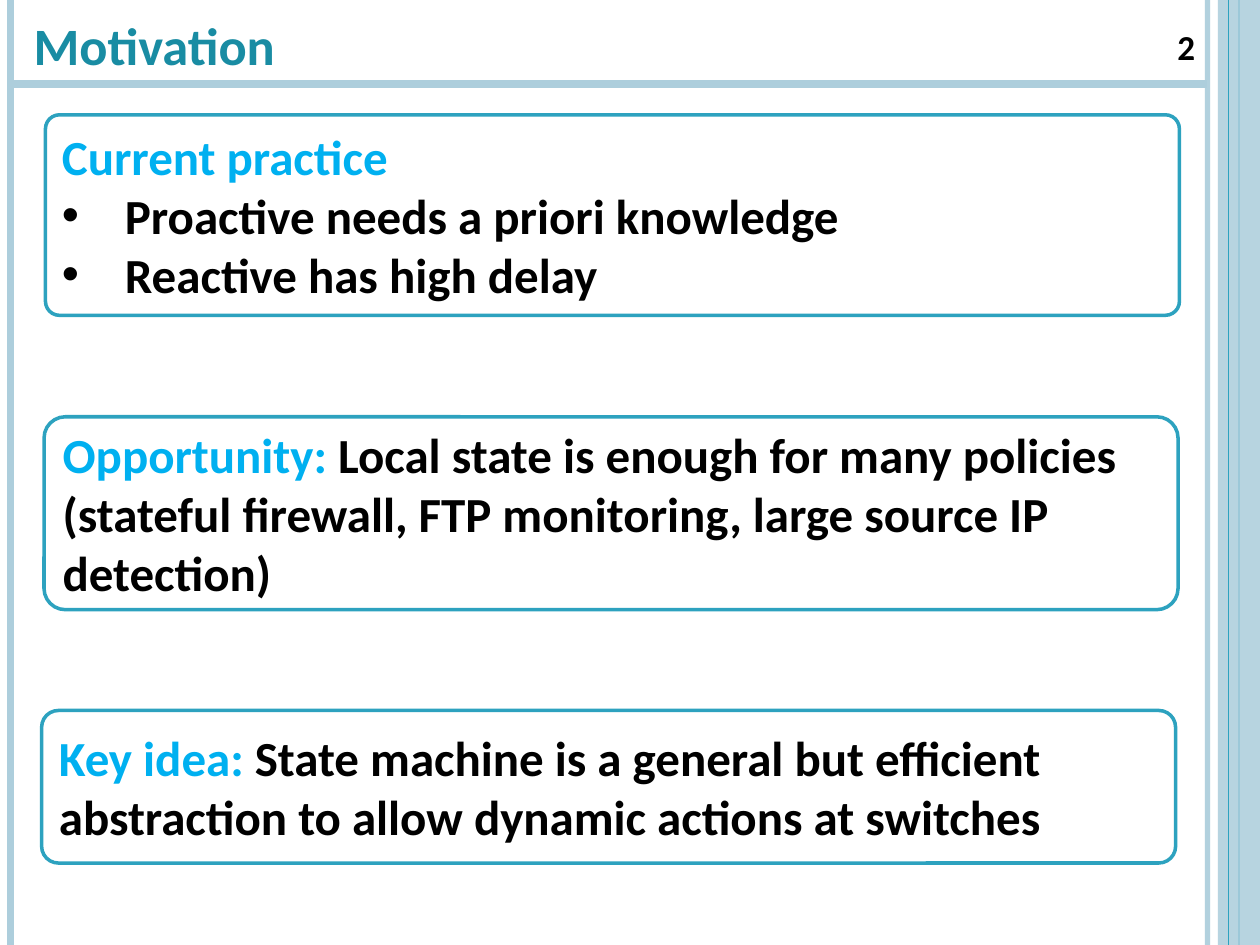
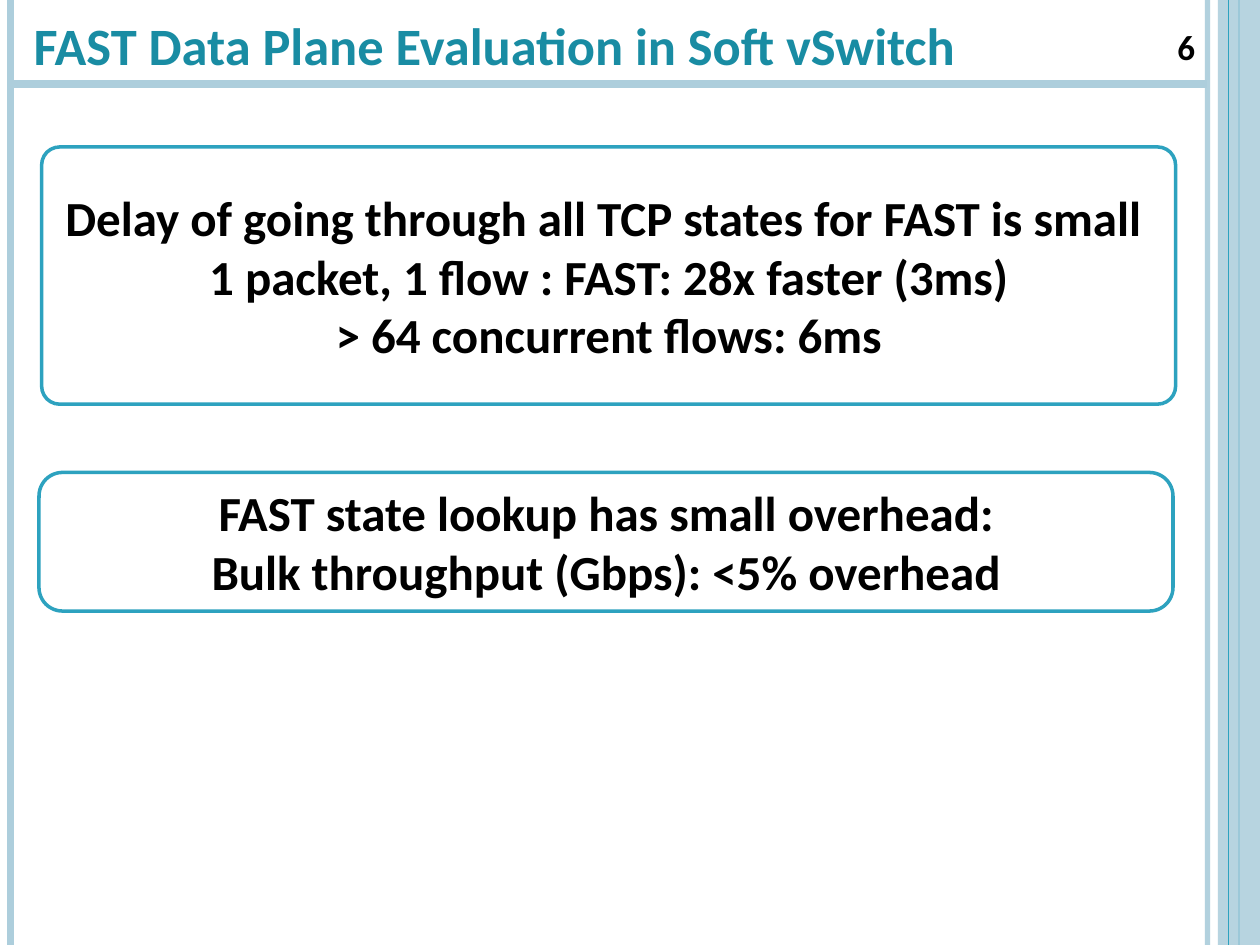
from dataclasses import dataclass

from lxml.etree import SubElement
from pptx import Presentation
from pptx.dml.color import RGBColor
from pptx.enum.shapes import MSO_CONNECTOR, MSO_SHAPE
from pptx.enum.text import MSO_ANCHOR, PP_ALIGN
from pptx.oxml.ns import qn
from pptx.util import Pt


@dataclass(frozen=True)
class Theme:
    font: str = "Calibri"
    heading: str = "198CA3"
    accent: str = "00B0F0"
    ink: str = "000000"
    paper: str = "FFFFFF"
    band: str = "ADCEDC"
    edge: str = "2DA2BF"
    title_size: float = 30
    number_size: float = 20
    body_size: float = 28
    border: float = 2
    bullet_indent: float = 36


THEME = Theme()
WIDTH, HEIGHT = 720, 540
CARD_WIDTH = 648

SLIDES = [
    {
        "title": "Motivation",
        "number": "2",
        "align": PP_ALIGN.LEFT,
        "cards": [
            {"at": (26, 65.6, 114.6), "corner": 0.07, "paragraphs": [
                {"lead": "Current practice"},
                {"text": "Proactive needs a priori knowledge", "bullet": True},
                {"text": "Reactive has high delay", "bullet": True},
            ]},
            {"at": (25.2, 238.2, 110.2), "corner": 0.11, "paragraphs": [
                {"lead": "Opportunity: ",
                 "text": "Local state is enough for many policies (stateful firewall, "
                         "FTP monitoring, large source IP detection)"},
            ]},
            {"at": (23.8, 406, 87.2), "corner": 0.11, "paragraphs": [
                {"lead": "Key idea:",
                 "text": " State machine is a general but efficient abstraction "
                         "to allow dynamic actions at switches"},
            ]},
        ],
    },
    {
        "title": "FAST Data Plane Evaluation in Soft vSwitch",
        "number": "6",
        "align": PP_ALIGN.CENTER,
        "cards": [
            {"at": (23.8, 84, 147), "corner": 0.07, "paragraphs": [
                {"text": "Delay of going through all TCP states for FAST is small "},
                {"text": "1 packet, 1 flow : FAST: 28x faster (3ms)"},
                {"text": "> 64 concurrent flows: 6ms"},
            ]},
            {"at": (22.3, 270, 79.2), "corner": 0.17, "paragraphs": [
                {"text": "FAST state lookup has small overhead:"},
                {"text": "Bulk throughput (Gbps): <5% overhead"},
            ]},
        ],
    },
]

RULES_BEHIND = [
    ((690, 0, 690, HEIGHT), THEME.band, 3, 93),
    ((6, 0, 6, HEIGHT), THEME.band, 4.5, 100),
    ((708, 0, 708, HEIGHT), THEME.edge, 1.5, 100),
]
SIDE_BAND = (696, 0, 24, HEIGHT)
SIDE_BAND_OPACITY = 87
RULES_FRONT = [
    ((702, 0, 702, HEIGHT), THEME.edge, 0.75, 100),
    ((6, 48, 690, 48), THEME.band, 4.5, 100),
]
TITLE_AT = (12, 3.6, 678, 56)
NUMBER_AT = (642, 6, 48, 41)


def points(values):
    return [Pt(value) for value in values]


def apply(target, formats):
    for attribute, value in formats.items():
        setattr(target, attribute, value)


def set_opacity(element, percent):
    if percent < 100:
        color = next(element.iter(qn("a:srgbClr")))
        SubElement(color, qn("a:alpha"), val=str(percent * 1000))


def paint(fill, color):
    fill.solid()
    fill.fore_color.rgb = RGBColor.from_string(color)


def add_run(paragraph, text, size, color):
    run = paragraph.add_run()
    run.text = text
    apply(run.font, {"name": THEME.font, "size": Pt(size), "bold": True})
    run.font.color.rgb = RGBColor.from_string(color)


def add_rule(slide, ends, color, weight, opacity):
    rule = slide.shapes.add_connector(MSO_CONNECTOR.STRAIGHT, *points(ends))
    rule.line.width = Pt(weight)
    paint(rule.line.fill, color)
    properties = rule._element.spPr
    set_opacity(properties, opacity)
    SubElement(properties, qn("a:effectLst"))


def add_frame(slide):
    for rule in RULES_BEHIND:
        add_rule(slide, *rule)
    band = slide.shapes.add_shape(MSO_SHAPE.RECTANGLE, *points(SIDE_BAND))
    band.shadow.inherit = False
    paint(band.fill, THEME.band)
    set_opacity(band._element.spPr, SIDE_BAND_OPACITY)
    band.line.fill.background()
    for rule in RULES_FRONT:
        add_rule(slide, *rule)


def add_heading(slide, title, number):
    heading = slide.shapes.title
    apply(heading, dict(zip(("left", "top", "width", "height"), points(TITLE_AT))))
    apply(heading.text_frame, {"word_wrap": True, "vertical_anchor": MSO_ANCHOR.TOP})
    paragraph = heading.text_frame.paragraphs[0]
    paragraph.alignment = PP_ALIGN.LEFT
    add_run(paragraph, title, THEME.title_size, THEME.heading)

    page = slide.shapes.add_textbox(*points(NUMBER_AT)).text_frame
    apply(page, {"word_wrap": True, "vertical_anchor": MSO_ANCHOR.MIDDLE})
    page.paragraphs[0].alignment = PP_ALIGN.RIGHT
    add_run(page.paragraphs[0], number, THEME.number_size, THEME.ink)


def add_bullet(paragraph):
    properties = paragraph._p.get_or_add_pPr()
    indent = Pt(THEME.bullet_indent)
    properties.set("marL", str(indent))
    properties.set("indent", str(-indent))
    SubElement(properties, qn("a:buFont"), typeface="Arial")
    SubElement(properties, qn("a:buChar"), char="•")


def add_card(slide, card, align):
    left, top, height = card["at"]
    box = slide.shapes.add_shape(
        MSO_SHAPE.ROUNDED_RECTANGLE, *points((left, top, CARD_WIDTH, height)))
    box.shadow.inherit = False
    box.adjustments[0] = card["corner"]
    paint(box.fill, THEME.paper)
    paint(box.line.fill, THEME.edge)
    box.line.width = Pt(THEME.border)
    frame = box.text_frame
    apply(frame, {"word_wrap": True, "vertical_anchor": MSO_ANCHOR.MIDDLE})
    for index, content in enumerate(card["paragraphs"]):
        paragraph = frame.add_paragraph() if index else frame.paragraphs[0]
        paragraph.alignment = align
        if content.get("bullet"):
            add_bullet(paragraph)
        for part, color in (("lead", THEME.accent), ("text", THEME.ink)):
            if part in content:
                add_run(paragraph, content[part], THEME.body_size, color)


def main():
    deck = Presentation()
    apply(deck, {"slide_width": Pt(WIDTH), "slide_height": Pt(HEIGHT)})
    title_only = deck.slide_layouts[5]
    for content in SLIDES:
        slide = deck.slides.add_slide(title_only)
        add_frame(slide)
        add_heading(slide, content["title"], content["number"])
        for card in content["cards"]:
            add_card(slide, card, content["align"])
    deck.save("out.pptx")


if __name__ == "__main__":
    main()
